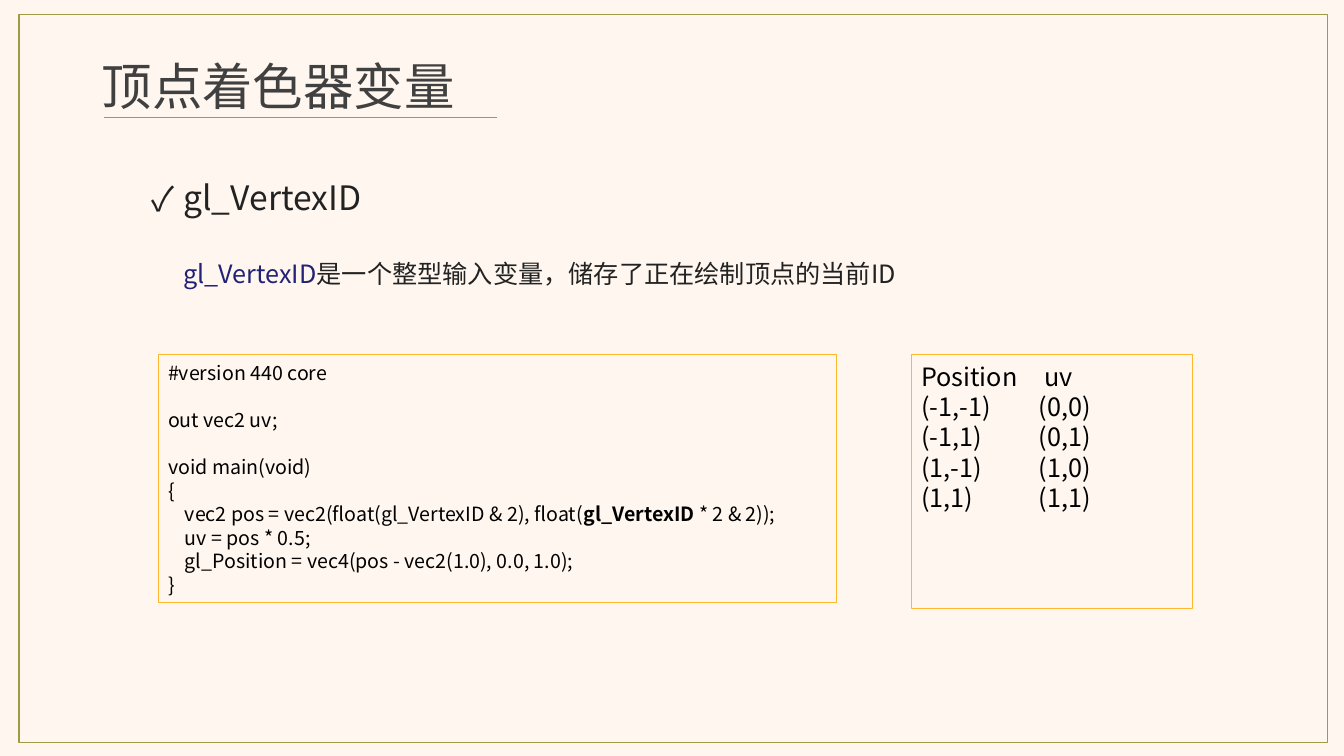
import pptx
import pptx.dml.color
import pptx.enum.shapes
import pptx.enum.text
import pptx.oxml.ns
import pptx.util
from lxml import etree

Pt = pptx.util.Pt
qn = pptx.oxml.ns.qn

COLORS = {
    "paper": "FFF7EF",
    "frame": "A09A45",
    "box": "FFB82D",
    "title": "404040",
    "body": "222222",
    "keyword": "222277",
    "code": "000000",
}


def rgb(name):
    return pptx.dml.color.RGBColor.from_string(COLORS[name])


class SlideBuilder:
    font = "Noto Sans CJK SC"
    line_height = 1.2

    def __init__(self, slide):
        self.s = slide
        fill = slide.background.fill
        fill.solid()
        fill.fore_color.rgb = rgb("paper")

    def outline(self, x, y, w, h, color, weight):
        """Add an unfilled rectangle."""
        sp = self.s.shapes.add_shape(
            pptx.enum.shapes.MSO_SHAPE.RECTANGLE, Pt(x), Pt(y), Pt(w), Pt(h))
        sp.shadow.inherit = False
        sp.fill.background()
        sp.line.color.rgb = rgb(color)
        sp.line.width = Pt(weight)
        return sp

    def rule(self, x1, x2, y, color, weight):
        """Add a horizontal line."""
        cn = self.s.shapes.add_connector(
            pptx.enum.shapes.MSO_CONNECTOR.STRAIGHT, Pt(x1), Pt(y), Pt(x2), Pt(y))
        cn.line.color.rgb = rgb(color)
        cn.line.width = Pt(weight)
        etree.SubElement(cn._element.spPr, qn("a:effectLst"))

    def text_box(self, x, y, w, h, size, wrap=True):
        sp = self.s.shapes.add_textbox(Pt(x), Pt(y), Pt(w), Pt(h))
        return self.frame(sp, size, wrap)

    def frame(self, sp, size, wrap=True):
        """Prepare a shape's text frame for lines of one size."""
        tf = sp.text_frame
        tf.word_wrap = wrap
        tf.vertical_anchor = pptx.enum.text.MSO_ANCHOR.TOP
        tf.margin_top = Pt(round(3.6 + 0.07 * size, 2))
        return tf

    def paragraph(self, tf, runs, size, align="LEFT", before=0):
        """Add a paragraph of (text, colour, bold) runs."""
        first = tf.paragraphs[0]
        p = tf.add_paragraph() if first.runs else first
        p.alignment = getattr(pptx.enum.text.PP_ALIGN, align)
        p.line_spacing = Pt(round(size * self.line_height, 1))
        p.space_before = Pt(before)
        for text, color, bold in runs:
            r = p.add_run()
            r.text = text
            r.font.size = Pt(size)
            r.font.name = self.font
            r.font.bold = bold
            r.font.color.rgb = rgb(color)
            ea = etree.SubElement(r._r.get_or_add_rPr(), qn("a:ea"))
            ea.set("typeface", self.font)
        return p

    def indent(self, p, left, first=0):
        pPr = p._p.get_or_add_pPr()
        pPr.set("marL", str(Pt(left)))
        pPr.set("indent", str(Pt(first)))

    def bullet(self, p, char, hang):
        self.indent(p, hang, -hang)
        pPr = p._p.get_or_add_pPr()
        etree.SubElement(pPr, qn("a:buFont")).set("typeface", self.font)
        etree.SubElement(pPr, qn("a:buChar")).set("char", char)

    def tab_stop(self, p, pos):
        tabs = etree.SubElement(p._p.get_or_add_pPr(), qn("a:tabLst"))
        tab = etree.SubElement(tabs, qn("a:tab"))
        tab.set("pos", str(Pt(pos)))
        tab.set("algn", "l")


CODE_SIZE = 14
BLANK_LINE = 16.8
# (indent, space before, [(text, bold), ...])
CODE = [
    (0, 0, [("#version 440 core", False)]),
    (0, BLANK_LINE, [("out vec2 uv;", False)]),
    (0, BLANK_LINE, [("void main(void)", False)]),
    (0, 0, [("{", False)]),
    (12, 0, [("vec2 pos = vec2(float(gl_VertexID & 2), float(", False),
             ("gl_VertexID ", True), ("* 2 & 2));", False)]),
    (12, 0, [("uv = pos * 0.5;", False)]),
    (12, 0, [("gl_Position = vec4(pos - vec2(1.0), 0.0, 1.0);", False)]),
    (0, 0, [("}", False)]),
]

# (position, uv, tab stop)
VERTICES = [
    ("Position", "uv", 88),
    ("(-1,-1)", "(0,0)", 84),
    ("(-1,1)", "(0,1)", 84),
    ("(1,-1)", "(1,0)", 84),
    ("(1,1)", "(1,1)", 84),
]


def main():
    prs = pptx.Presentation()
    prs.slide_width, prs.slide_height = Pt(960), Pt(540)
    b = SlideBuilder(prs.slides.add_slide(prs.slide_layouts[6]))

    tf = b.text_box(64, 33.1, 269.3, 51, 36, wrap=False)
    b.paragraph(tf, [("顶点着色器变量", "title", False)], 36, "CENTER")
    b.rule(74.2, 355, 84, "frame", 0.5)
    b.outline(13.5, 10.5, 934.7, 520, "frame", 1)

    tf = b.text_box(101.5, 121, 169, 36, 24)
    p = b.paragraph(tf, [("gl_VertexID", "body", False)], 24)
    b.bullet(p, "✓", 22.5)

    tf = b.text_box(123.8, 180, 613, 29, 18)
    b.paragraph(tf, [
        ("gl_VertexID", "keyword", False),
        ("是一个整型输入变量，储存了正在绘制顶点的当前ID", "body", False),
    ], 18)

    tf = b.frame(b.outline(113, 253.2, 484.6, 177.2, "box", 0.75), CODE_SIZE)
    for left, before, parts in CODE:
        runs = [(text, "code", bold) for text, bold in parts]
        p = b.paragraph(tf, runs, CODE_SIZE, before=before)
        b.indent(p, left)

    tf = b.frame(b.outline(650.9, 253.2, 201.2, 181.4, "box", 0.75), 18)
    for position, uv, stop in VERTICES:
        p = b.paragraph(tf, [(f"{position}\t{uv}", "code", False)], 18)
        b.tab_stop(p, stop)

    prs.save("out.pptx")


if __name__ == "__main__":
    main()
